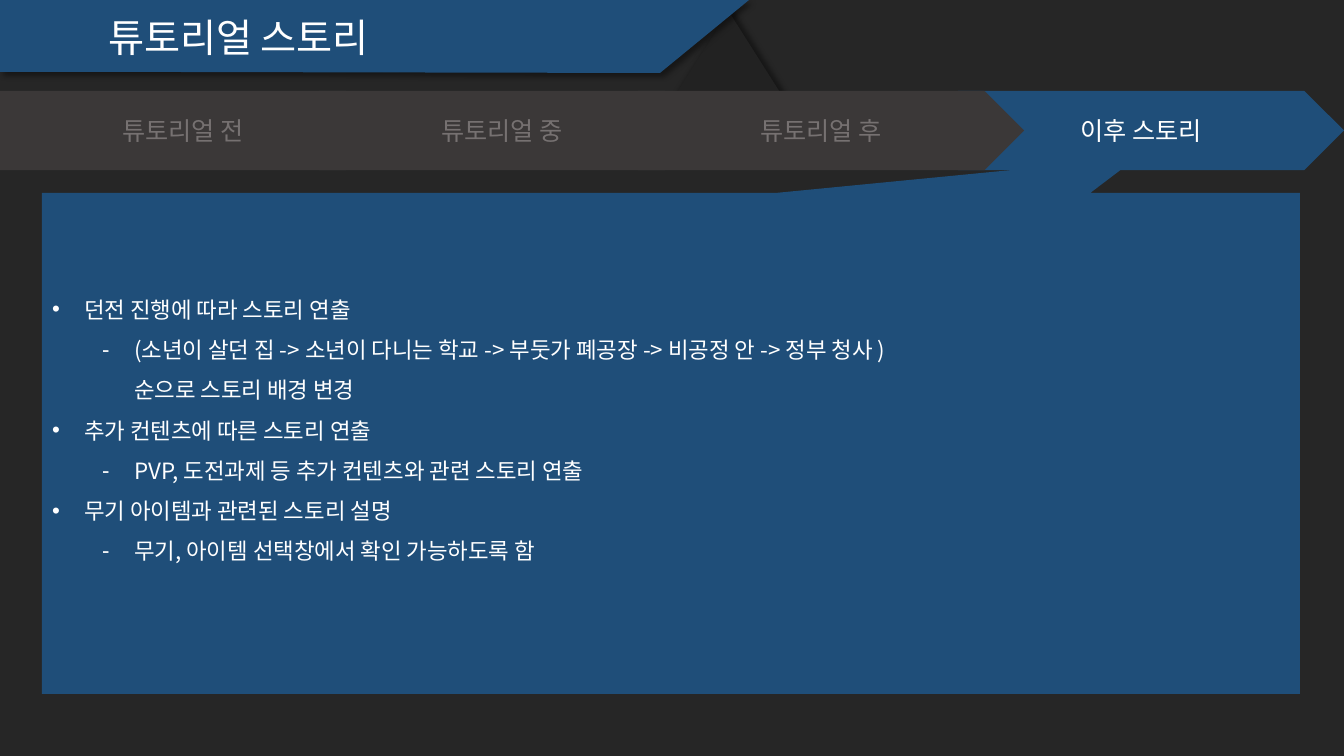
from dataclasses import dataclass

from lxml import etree
from pptx import Presentation
from pptx.dml.color import RGBColor
from pptx.enum.shapes import MSO_SHAPE
from pptx.enum.text import MSO_ANCHOR, MSO_AUTO_SIZE, PP_ALIGN
from pptx.oxml.ns import qn
from pptx.util import Emu, Pt

PLATE = MSO_SHAPE.PENTAGON
PEAK = MSO_SHAPE.ISOSCELES_TRIANGLE
CALLOUT = MSO_SHAPE.RECTANGULAR_CALLOUT
MIDDLE = MSO_ANCHOR.MIDDLE
FIXED = MSO_AUTO_SIZE.NONE
LEFT, CENTER = PP_ALIGN.LEFT, PP_ALIGN.CENTER

SCALE = 914400 / 100.8
WIDE, HIGH = 1344, 756
STEPS = ["튜토리얼 전", "튜토리얼 중", "튜토리얼 후", "이후 스토리"]
ITEMS = [
    (0, "던전 진행에 따라 스토리 연출"),
    (1, "(소년이 살던 집 -> 소년이 다니는 학교 -> 부둣가 폐공장 -> 비공정 안 -> 정부 청사 )"
        "\v순으로 스토리 배경 변경"),
    (0, "추가 컨텐츠에 따른 스토리 연출"),
    (1, "PVP, 도전과제 등 추가 컨텐츠와 관련 스토리 연출"),
    (0, "무기 아이템과 관련된 스토리 설명"),
    (1, "무기, 아이템 선택창에서 확인 가능하도록 함"),
]
BULLETS = [("•", 32), ("-", 82)]
HANG = 32


@dataclass(frozen=True)
class Theme:
    """Hold the colours, font and type sizes of the slide."""
    back: str = "262626"
    peak: str = "222222"
    blue: str = "1F4E79"
    grey: str = "3B3838"
    dim: str = "767171"
    white: str = "FFFFFF"
    font: str = "Noto Sans CJK KR"
    title: int = 28
    step: int = 18
    body: int = 16


THEME = Theme()


def px(count):
    """Turn pixels into EMU."""
    return Emu(round(count * SCALE))


def paint(shape, color):
    """Fill a shape flat, with no line and no shadow."""
    shape.fill.solid()
    shape.fill.fore_color.rgb = RGBColor.from_string(color)
    shape.line.fill.background()
    shape.shadow.inherit = False
    return shape


def shade(shape, angle):
    """Cast a soft black shadow at an angle in degrees."""
    effect = shape.element.spPr.find(qn("a:effectLst"))
    outer = etree.SubElement(effect, qn("a:outerShdw"), blurRad=str(Pt(4)),
                             dist=str(Pt(3)), dir=str(angle * 60000), rotWithShape="0")
    black = etree.SubElement(outer, qn("a:srgbClr"), val="000000")
    etree.SubElement(black, qn("a:alpha"), val="40000")


def block(slide, kind, box, color):
    """Draw a preset shape in a pixel box."""
    return paint(slide.shapes.add_shape(kind, *map(px, box)), color)


def write(para, text, *, size, color=THEME.white, align=LEFT, space=1.0):
    """Put formatted text in a paragraph."""
    para.text = text
    para.alignment = align
    para.line_spacing = space
    para.space_before = Pt(0)
    for run in para.runs:
        run.font.size = Pt(size)
        run.font.color.rgb = RGBColor.from_string(color)
        run.font.name = THEME.font
        etree.SubElement(run.font._element, qn("a:ea"), typeface=THEME.font)
    for gap in para._p.findall(qn("a:br")):
        etree.SubElement(gap, qn("a:rPr"), sz=str(size * 100))


def mark(para, level):
    """Give a paragraph its level, hanging indent and bullet."""
    sign, left = BULLETS[level]
    para.level = level
    props = para._p.get_or_add_pPr()
    props.set("marL", str(px(left)))
    props.set("indent", str(-px(HANG)))
    etree.SubElement(props, qn("a:buChar"), char=sign)


def place(holder, box, wrap):
    """Move a placeholder to a pixel box, in front of the rest."""
    holder.left, holder.top, holder.width, holder.height = map(px, box)
    frame = holder.text_frame
    frame.auto_size = FIXED
    frame.word_wrap = wrap
    frame.vertical_anchor = MIDDLE
    holder.element.getparent().append(holder.element)
    return frame


def banner(slide):
    """Draw the slanted title band and the dark peak behind it."""
    shade(block(slide, PEAK, (662, 11, 133, 105), THEME.peak), 315)
    pen = slide.shapes.build_freeform(0, 0, scale=SCALE)
    pen.add_line_segments([(749, 0), (660, 73), (156, 72), (0, 72)], close=True)
    shade(paint(pen.convert_to_shape(), THEME.blue), 45)


def steps(slide):
    """Draw the step arrows from right to left, the last one lit."""
    width, last = 386, len(STEPS) - 1
    for index in range(last, -1, -1):
        lit = index == last
        box = (index * (WIDE - width) // last, 91, width, 79)
        plate = block(slide, PLATE, box, THEME.blue if lit else THEME.grey)
        plate.text_frame.vertical_anchor = MIDDLE
        write(plate.text_frame.paragraphs[0], STEPS[index], size=THEME.step,
              color=THEME.white if lit else THEME.dim, align=CENTER)


def panel(slide):
    """Draw the callout that points at the lit step."""
    shape = block(slide, CALLOUT, (42, 193, 1258, 501), THEME.blue)
    shape.adjustments[0], shape.adjustments[1] = 0.37, -0.57


def items(frame):
    """Write the bullet list."""
    for index, (level, text) in enumerate(ITEMS):
        para = frame.add_paragraph() if index else frame.paragraphs[0]
        mark(para, level)
        write(para, text, size=THEME.body, space=1.5)


def main():
    """Build and save the slide."""
    deck = Presentation()
    deck.slide_width, deck.slide_height = px(WIDE), px(HIGH)
    slide = deck.slides.add_slide(deck.slide_layouts[1])
    fill = slide.background.fill
    fill.solid()
    fill.fore_color.rgb = RGBColor.from_string(THEME.back)
    title, body = slide.placeholders
    banner(slide)
    steps(slide)
    panel(slide)
    head = place(title, (98, 8, 312, 57), False)
    write(head.paragraphs[0], "튜토리얼 스토리", size=THEME.title)
    items(place(body, (42, 193, 1258, 461), True))
    deck.save("out.pptx")


if __name__ == "__main__":
    main()
